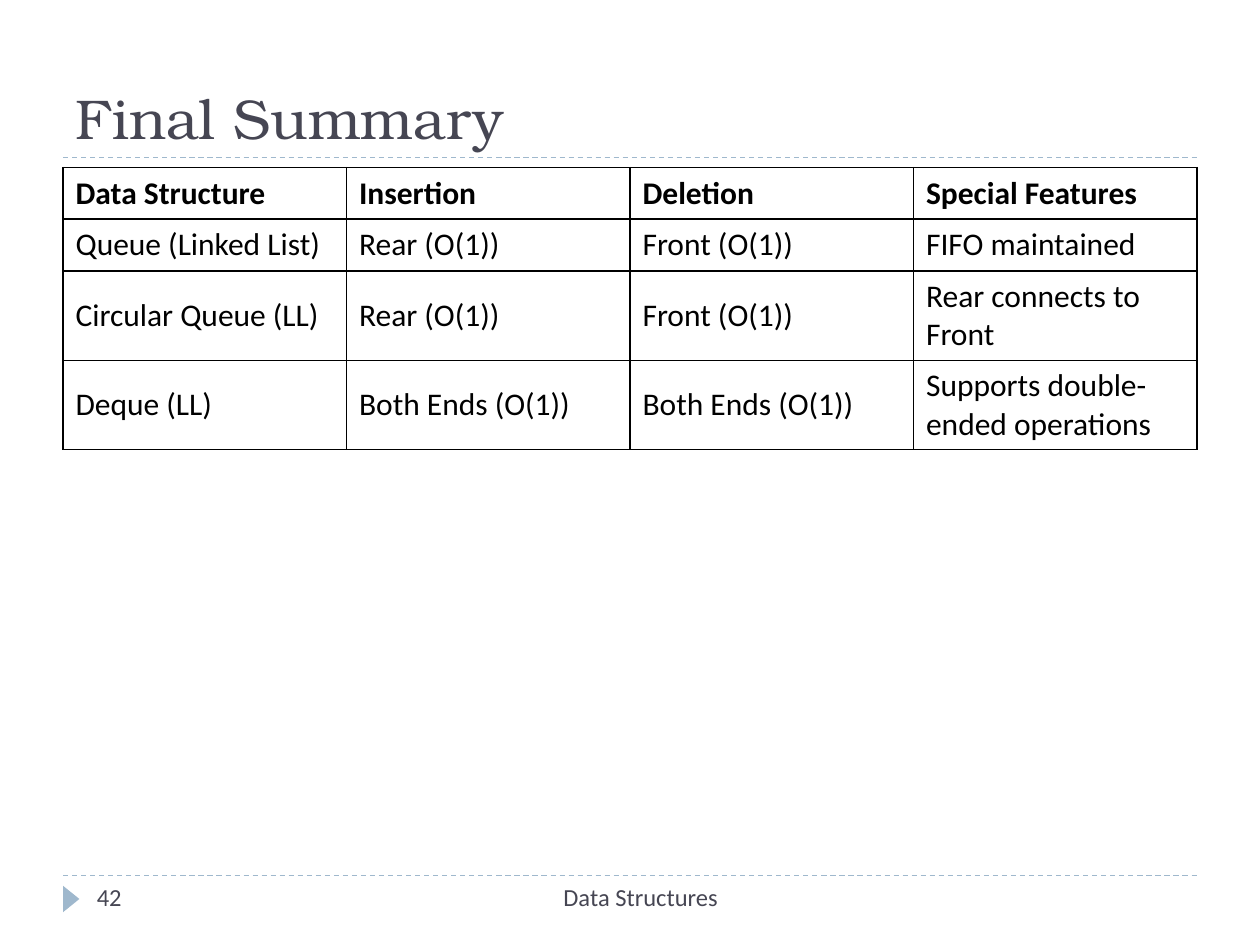
from lxml.etree import SubElement
from pptx import Presentation
from pptx.dml.color import RGBColor
from pptx.enum.dml import MSO_LINE
from pptx.enum.shapes import MSO_CONNECTOR, MSO_SHAPE
from pptx.enum.text import MSO_ANCHOR, PP_ALIGN
from pptx.oxml import parse_xml
from pptx.oxml.ns import nsdecls, qn
from pptx.util import Pt

PX = 9144
COLORS = {"ink": "464653", "accent": "9FB8CD", "black": "000000"}
ROWS = [
    ("Data Structure", "Insertion", "Deletion", "Special Features"),
    ("Queue (Linked List)", "Rear (O(1))", "Front (O(1))", "FIFO maintained"),
    ("Circular Queue (LL)", "Rear (O(1))", "Front (O(1))", "Rear connects to Front"),
    ("Deque (LL)", "Both Ends (O(1))", "Both Ends (O(1))",
     "Supports double-ended operations"),
]
HEIGHTS = (41, 41, 71, 71)


def px(*vals):
    """Turn px lengths into EMU."""
    return [val * PX for val in vals]


def color(name):
    """Look up a colour by name."""
    return RGBColor.from_string(COLORS[name])


def write(frame, text, size=14, font="Calibri", ink="ink", bold=False,
          align=PP_ALIGN.LEFT, anchor=MSO_ANCHOR.TOP):
    """Put formatted text into a text frame."""
    frame.word_wrap = True
    frame.vertical_anchor = anchor
    par = frame.paragraphs[0]
    par.alignment = align
    run = par.add_run()
    run.text = text
    run.font.size = Pt(size)
    run.font.name = font
    run.font.bold = bold
    run.font.color.rgb = color(ink)


def add_title(slide, text, box):
    """Move and fill the title placeholder."""
    title = slide.shapes.title
    title.left, title.top, title.width, title.height = px(*box)
    write(title.text_frame, text, size=32, font="TeX Gyre Bonum",
          anchor=MSO_ANCHOR.BOTTOM)


def add_label(slide, text, box, **style):
    """Add a text box."""
    write(slide.shapes.add_textbox(*px(*box)).text_frame, text, **style)


def add_rule(slide, top):
    """Draw a dashed rule across the slide."""
    rule = slide.shapes.add_connector(MSO_CONNECTOR.STRAIGHT, *px(50, top, 950, top))
    rule.line.color.rgb = color("accent")
    rule.line.width = Pt(0.75)
    rule.line.dash_style = MSO_LINE.DASH
    SubElement(rule._element.spPr, qn("a:effectLst"))


def add_marker(slide, box):
    """Draw the footer triangle, pointing right."""
    mark = slide.shapes.add_shape(MSO_SHAPE.ISOSCELES_TRIANGLE, *px(*box))
    mark.rotation = 90
    mark.shadow.inherit = False
    mark.fill.solid()
    mark.fill.fore_color.rgb = color("accent")
    mark.line.fill.background()


def add_border(cell):
    """Give a cell thin lines on all sides."""
    props = cell._tc.get_or_add_tcPr()
    for pos, side in enumerate("LRTB"):
        props.insert(pos, parse_xml(
            f'<a:ln{side} {nsdecls("a")} w="{Pt(1)}"><a:solidFill>'
            f'<a:srgbClr val="{COLORS["black"]}"/></a:solidFill></a:ln{side}>'))


def add_grid(slide, left, top, width):
    """Build the summary table."""
    box = px(left, top, width, sum(HEIGHTS))
    table = slide.shapes.add_table(len(ROWS), len(ROWS[0]), *box).table
    table.first_row = table.horz_banding = False
    for row, (height, texts) in enumerate(zip(HEIGHTS, ROWS)):
        table.rows[row].height = height * PX
        for col, text in enumerate(texts):
            cell = table.cell(row, col)
            cell.fill.background()
            add_border(cell)
            cell.vertical_anchor = MSO_ANCHOR.MIDDLE
            par = cell.text_frame.paragraphs[0]
            par.text = text
            par.font.size = Pt(18)
            par.font.name = "Calibri"
            par.font.bold = row == 0
            par.font.color.rgb = color("black")
            par.runs[0].font.size = Pt(18)
            par.runs[0].font.name = "Calibri"
            par.runs[0].font.bold = row == 0
            par.runs[0].font.color.rgb = color("black")


def main():
    """Build the slide and save it."""
    deck = Presentation()
    deck.slide_width, deck.slide_height = px(1000, 750)
    slide = deck.slides.add_slide(deck.slide_layouts[5])
    for top in (695, 125):
        add_rule(slide, top)
    add_marker(slide, (46, 707, 21, 13))
    add_title(slide, "Final Summary", (50, 17, 900, 108))
    add_label(slide, "Data Structures", (317, 695, 383, 40), align=PP_ALIGN.CENTER)
    add_grid(slide, 50, 133, 900)
    add_label(slide, "42", (67, 695, 217, 40))
    deck.save("out.pptx")


if __name__ == "__main__":
    main()
